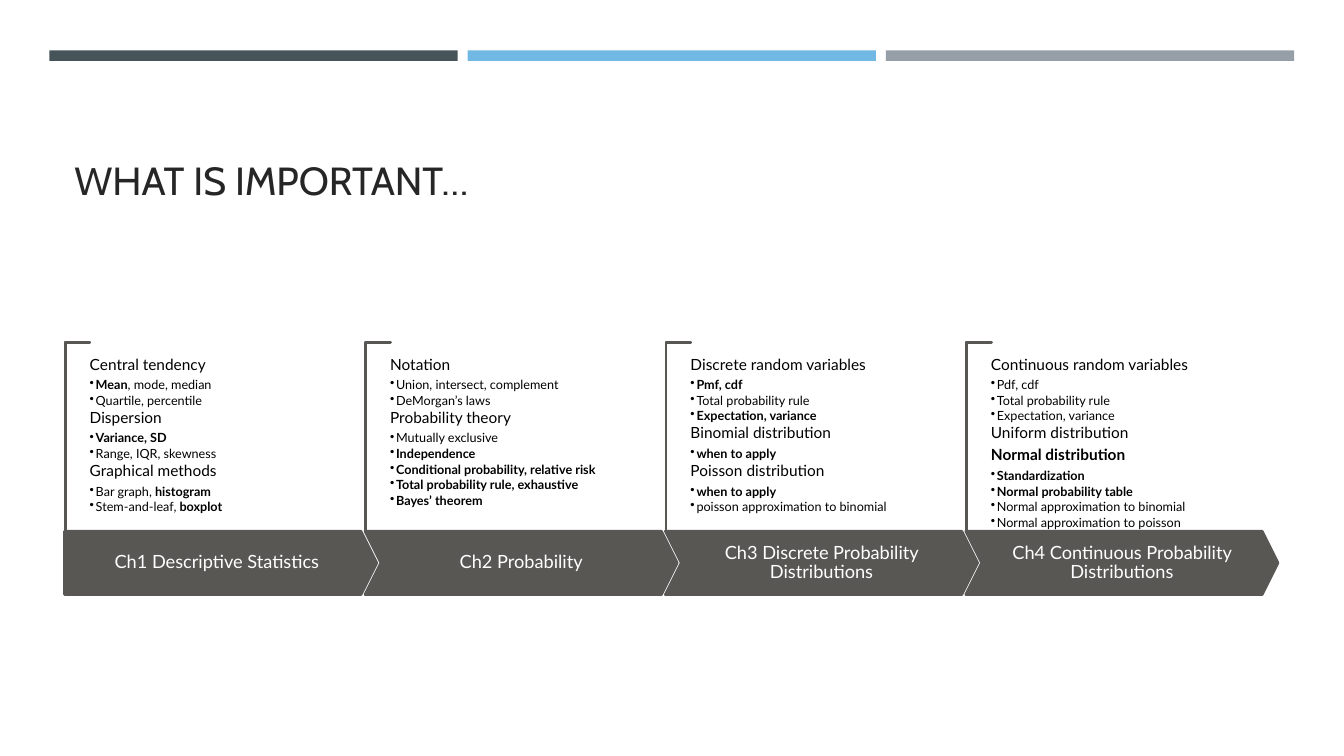
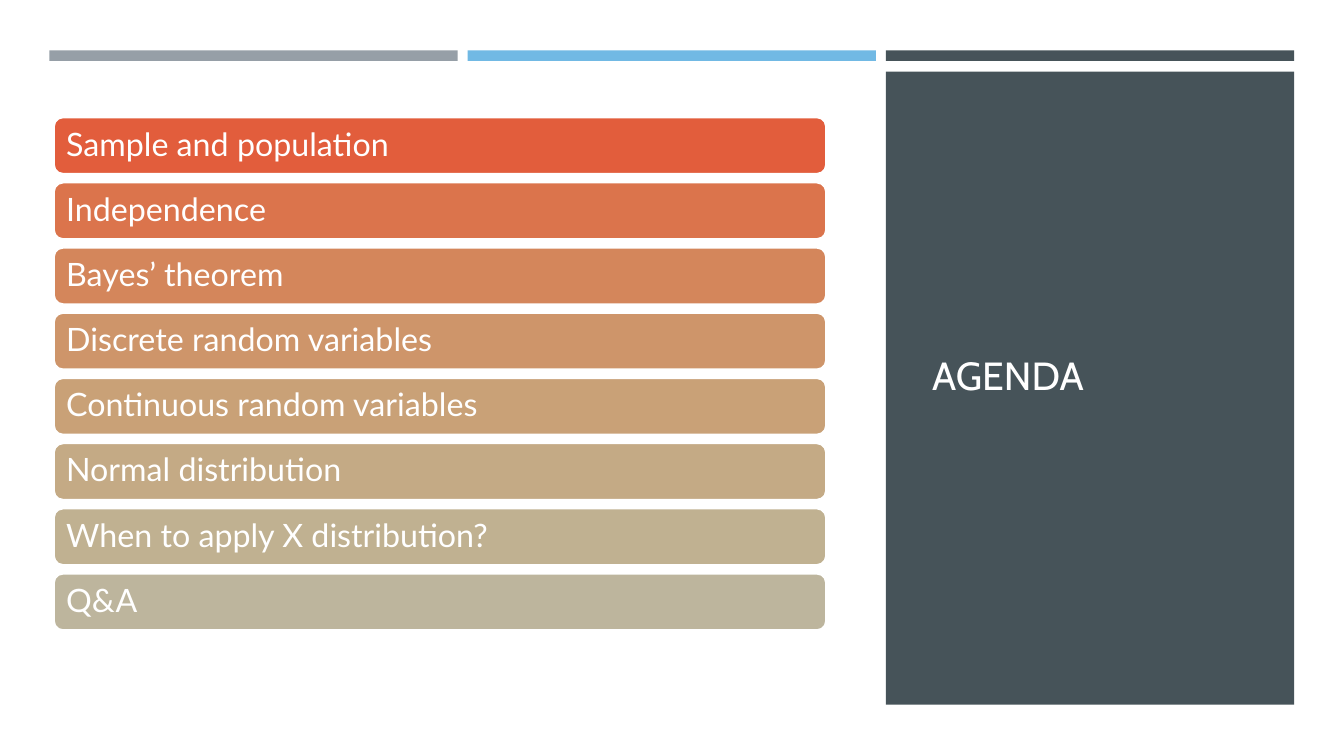
import lxml.etree
import pptx
import pptx.dml.color
import pptx.enum.shapes
import pptx.enum.text
import pptx.oxml.ns
import pptx.util

SHAPES = pptx.enum.shapes.MSO_SHAPE
ALIGN = pptx.enum.text.PP_ALIGN
ANCHOR = pptx.enum.text.MSO_ANCHOR

COLORS = {
    "slate": "465359",
    "sky": "71B9E4",
    "gray": "969FA7",
    "stone": "585753",
    "sand": "EBDDC3",
    "ink": "262626",
    "black": "000000",
    "white": "FFFFFF",
    "agenda1": "E25D3C",
    "agenda2": "DB744C",
    "agenda3": "D4865B",
    "agenda4": "CE956A",
    "agenda5": "C9A177",
    "agenda6": "C4AA85",
    "agenda7": "C0B191",
    "agenda8": "BDB59D",
}

CHAPTERS = [
    ("Ch1 Descriptive Statistics", [
        ("Central tendency", ["*Mean*, mode, median", "Quartile, percentile"]),
        ("Dispersion", ["*Variance, SD*", "Range, IQR, skewness"]),
        ("Graphical methods", ["Bar graph, *histogram*", "Stem-and-leaf, *boxplot*"]),
    ]),
    ("Ch2 Probability", [
        ("Notation", ["Union, intersect, complement", "DeMorgan’s laws"]),
        ("Probability theory", [
            "Mutually exclusive",
            "*Independence*",
            "*Conditional probability, relative risk*",
            "*Total probability rule, exhaustive*",
            "*Bayes’ theorem*",
        ]),
    ]),
    ("Ch3 Discrete Probability Distributions", [
        ("Discrete random variables", [
            "*Pmf, cdf*", "Total probability rule", "*Expectation, variance*",
        ]),
        ("Binomial distribution", ["*when to apply*"]),
        ("Poisson distribution", ["*when to apply*", "poisson approximation to binomial"]),
    ]),
    ("Ch4 Continuous Probability Distributions", [
        ("Continuous random variables", [
            "Pdf, cdf", "Total probability rule", "Expectation, variance",
        ]),
        ("Uniform distribution", []),
        ("*Normal distribution*", [
            "*Standardization*",
            "*Normal probability table*",
            "Normal approximation to binomial",
            "Normal approximation to poisson",
        ]),
    ]),
]

AGENDA = [
    "Sample and population",
    "Independence",
    "Bayes’ theorem",
    "Discrete random variables",
    "Continuous random variables",
    "Normal distribution",
    "When to apply X distribution?",
    "Q&A",
]


class Deck:
    COLUMNS, ROWS = 160, 90
    TITLE_FONT, BODY_FONT = "Cabin", "Lato"
    BAND_LEFT, BAND_WIDTH, BAND_STEP = 5.88, 48.6, 49.8

    def __init__(self):
        self.presentation = pptx.Presentation()
        self.presentation.slide_width = pptx.util.Inches(13.33)
        self.presentation.slide_height = pptx.util.Inches(7.5)
        self.slide = None

    def box(self, left, top, width, height):
        across = self.presentation.slide_width / self.COLUMNS
        down = self.presentation.slide_height / self.ROWS
        return [round(left * across), round(top * down),
                round(width * across), round(height * down)]

    def color(self, name):
        return pptx.dml.color.RGBColor.from_string(COLORS[name])

    def add_slide(self, bands):
        self.slide = self.presentation.slides.add_slide(self.presentation.slide_layouts[6])
        for index, name in enumerate(bands):
            left = self.BAND_LEFT + index * self.BAND_STEP
            self.shape(SHAPES.RECTANGLE, (left, 6, self.BAND_WIDTH, 1.25), name)

    def shape(self, kind, place, fill, line=None, weight=1.75, adjustments=()):
        shape = self.slide.shapes.add_shape(kind, *self.box(*place))
        shape.shadow.inherit = False
        shape.fill.solid()
        shape.fill.fore_color.rgb = self.color(fill)
        if line:
            shape.line.color.rgb = self.color(line)
            shape.line.width = pptx.util.Pt(weight)
        else:
            shape.line.fill.background()
        for index, value in enumerate(adjustments):
            shape.adjustments[index] = value
        return shape

    def frame(self, shape, anchor, side=0.1, edge=0.05):
        frame = shape.text_frame
        frame.word_wrap = True
        frame.vertical_anchor = anchor
        frame.margin_left = frame.margin_right = pptx.util.Inches(side)
        frame.margin_top = frame.margin_bottom = pptx.util.Inches(edge)
        return frame

    def add_text(self, paragraph, text, size, color, font=BODY_FONT, align=ALIGN.LEFT):
        paragraph.alignment = align
        for index, part in enumerate(text.split("*")):
            if part:
                run = paragraph.add_run()
                run.text = part
                run.font.name = font
                run.font.size = pptx.util.Pt(size)
                run.font.bold = index % 2 == 1
                run.font.color.rgb = self.color(color)

    def title(self, text, place, color, anchor):
        shape = self.slide.shapes.add_textbox(*self.box(*place))
        frame = self.frame(shape, anchor)
        self.add_text(frame.paragraphs[0], text, 28, color, self.TITLE_FONT)

    def label(self, shape, text, size, align, side):
        paragraph = self.frame(shape, ANCHOR.MIDDLE, side, 0).paragraphs[0]
        paragraph.line_spacing = 0.9
        self.add_text(paragraph, text, size, "white", align=align)

    def bracket(self, left, top, width, height):
        place = (left + (width - height) / 2, top + (height - width) / 2, height, width)
        shape = self.shape(SHAPES.CORNER, place, "sand", "stone", adjustments=(0.01, 0.01))
        shape.rotation = 90

    def bullet(self, paragraph):
        paragraph.level = 1
        properties = paragraph._p.get_or_add_pPr()
        indent = pptx.util.Inches(0.06)
        properties.set("marL", str(indent))
        properties.set("indent", str(-indent))
        lxml.etree.SubElement(properties, pptx.oxml.ns.qn("a:buChar"), char="•")

    def topics(self, place, groups):
        frame = self.frame(self.slide.shapes.add_textbox(*self.box(*place)), ANCHOR.TOP, 0, 0)
        lines = [(text, level) for heading, items in groups
                 for text, level in [(heading, 0)] + [(item, 1) for item in items]]
        for index, (text, level) in enumerate(lines):
            paragraph = frame.add_paragraph() if index else frame.paragraphs[0]
            size, after = (9, 1.35) if level else (11, 3.85)
            paragraph.line_spacing = 0.9
            paragraph.space_after = pptx.util.Pt(after)
            self.add_text(paragraph, text, size, "black")
            if level:
                self.bullet(paragraph)

    def chapter(self, index, name, groups):
        left = 7.68 + index * 35.76
        self.bracket(left + 0.06, 40.74, 3, 22.56)
        kind = SHAPES.CHEVRON if index else SHAPES.PENTAGON
        arrow = self.shape(kind, (left, 63.24, 37.2, 7.56), "stone", "stone",
                           adjustments=(0.25,))
        self.label(arrow, name, 13, ALIGN.CENTER, 0.09)
        self.topics((left + 3, 42.48, 30.24, 18.96), groups)

    def agenda_item(self, index, text):
        place = (6.36, 13.92 + index * 7.76, 92.04, 6.84)
        bar = self.shape(SHAPES.ROUNDED_RECTANGLE, place, f"agenda{index + 1}", "white", 2)
        self.label(bar, text, 23, ALIGN.LEFT, 0.1)


def main():
    deck = Deck()

    deck.add_slide(["slate", "sky", "gray"])
    deck.title("WHAT IS IMPORTANT…", (7.68, 9.24, 144.72, 15.6), "ink", ANCHOR.BOTTOM)
    for index, (name, groups) in enumerate(CHAPTERS):
        deck.chapter(index, name, groups)

    deck.add_slide(["gray", "sky", "slate"])
    panel_left = deck.BAND_LEFT + 2 * deck.BAND_STEP
    deck.shape(SHAPES.RECTANGLE, (panel_left, 8.52, deck.BAND_WIDTH, 75.36), "slate")
    deck.title("AGENDA", (109.8, 13.68, 39.48, 61.8), "white", ANCHOR.MIDDLE)
    for index, text in enumerate(AGENDA):
        deck.agenda_item(index, text)

    deck.presentation.save("out.pptx")


if __name__ == "__main__":
    main()
